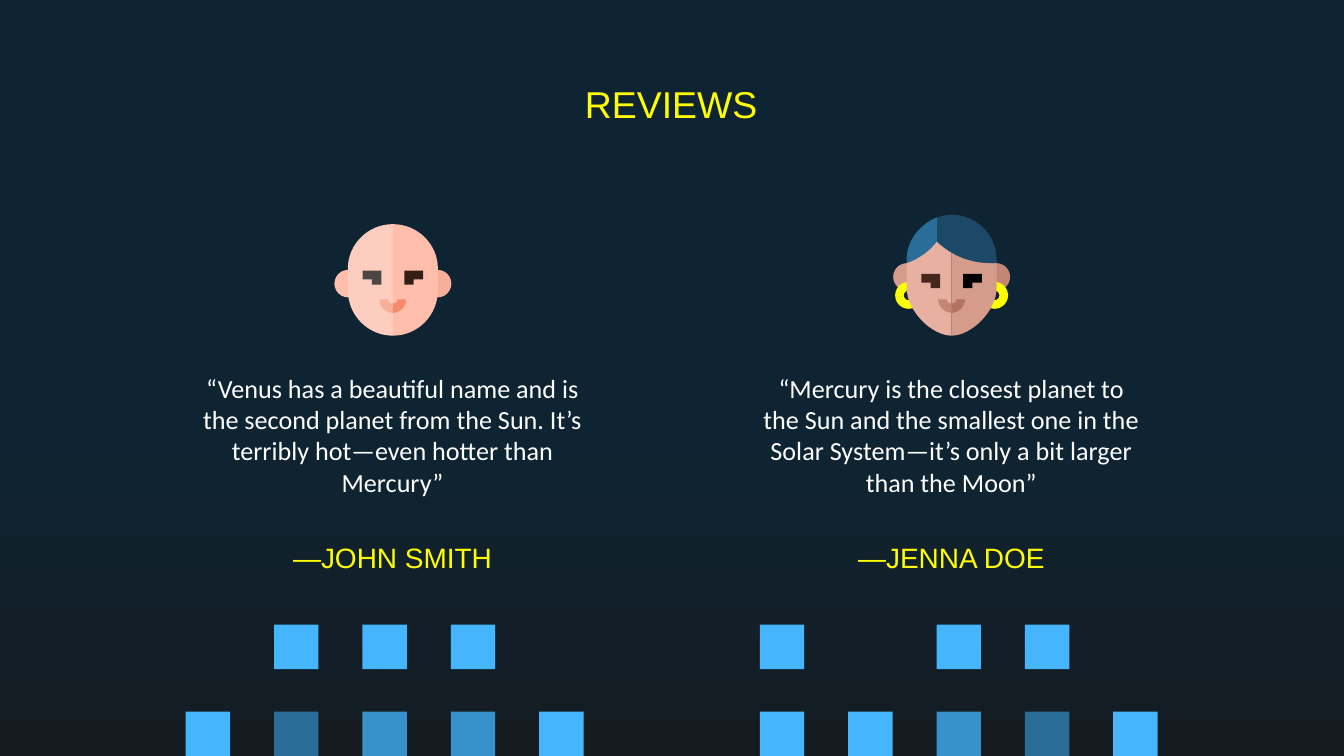
import pptx
import pptx.dml.color
import pptx.enum.shapes
import pptx.enum.text
import pptx.oxml.ns
import pptx.util
from lxml import etree

Cm = pptx.util.Cm
Shapes = pptx.enum.shapes.MSO_SHAPE
Anchor = pptx.enum.text.MSO_ANCHOR

YELLOW, WHITE = "FFFF00", "FFFFFF"
BRIGHT, MEDIUM, DARK = "45B6FE", "3792CB", "296D98"

# Faces are drawn on a grid 87 units wide, symmetric about its middle
GRID_WIDTH = 87
CURVE_STEPS = 16

# Left halves: a pair is a corner, six numbers are a Bezier curve
EYE = [(21, 0), (21, 6.5), (28, 6.5), (28, 10.5), (35, 10.5), (35, 0)]
MOUTH = [(33.5, 63), (33.5, 68, 38, 73, 43.5, 73), (43.5, 66),
         (41.5, 66, 40, 65, 40, 63)]
ROUND_HEAD = [(43.5, 7), (25, 7, 10, 22, 10, 40), (10, 56),
              (10, 75, 25, 90, 43.5, 90)]
POINTED_HEAD = [(43.5, 13), (32.5, 13), (10, 36), (10, 54),
                (10, 72, 29, 90, 43.5, 90)]
HAIR_BACK = [(43.5, 0), (40, 0, 36, 1, 32.5, 2), (28, 13), (32.5, 20),
             (43, 30, 57, 36, 72, 36), (77, 36), (77, 34),
             (77, 15, 62, 0, 43.5, 0)]
HAIR_FRONT = [(32.5, 2), (20, 7, 10, 19, 10, 34), (10, 36),
              (19, 33, 27, 27, 32.5, 20)]


def color(value):
    return pptx.dml.color.RGBColor.from_string(value)


def paint(shape, fill):
    shape.shadow.inherit = False
    shape.fill.solid()
    shape.fill.fore_color.rgb = color(fill)
    shape.line.fill.background()


def add_preset(slide, kind, left, top, width, height, fill):
    shape = slide.shapes.add_shape(kind, Cm(left), Cm(top), Cm(width), Cm(height))
    paint(shape, fill)
    return shape


def flatten(outline):
    """Turn corners and Bezier curves into a list of points."""
    points = []
    for part in outline:
        if len(part) == 2:
            points.append(part)
            continue
        start, first, second, end = points[-1], part[:2], part[2:4], part[4:]
        for step in range(1, CURVE_STEPS + 1):
            t = step / CURVE_STEPS
            points.append(tuple(
                (1 - t) ** 3 * a + 3 * (1 - t) ** 2 * t * b
                + 3 * (1 - t) * t ** 2 * c + t ** 3 * d
                for a, b, c, d in zip(start, first, second, end)))
    return points


def add_outline(slide, box, outline, fill, mirror=False, drop=0):
    left, top, width = box
    unit = width / GRID_WIDTH
    points = [(Cm(left + unit * (GRID_WIDTH - x if mirror else x)),
               Cm(top + unit * (y + drop))) for x, y in flatten(outline)]
    builder = slide.shapes.build_freeform(*points[0])
    builder.add_line_segments(points[1:], close=True)
    paint(builder.convert_to_shape(), fill)


def add_halves(slide, box, outline, fills, drop=0):
    for fill, mirror in zip(fills, (False, True)):
        add_outline(slide, box, outline, fill, mirror, drop)


def add_face(slide, box, look):
    left, top, width = box
    unit = width / GRID_WIDTH
    # Ears and earrings, behind the head
    size = 20.5
    for fill, x in zip(look["ears"], (0, GRID_WIDTH - size)):
        add_preset(slide, Shapes.OVAL, left + unit * x, top + unit * look["ear_top"],
                   unit * size, unit * size, fill)
    if look["earrings"]:
        for x in (1.5, 65.5):
            ring = add_preset(slide, Shapes.DONUT, left + unit * x, top + unit * 50,
                              unit * 20, unit * 20, look["earrings"])
            ring.adjustments[0] = 0.32
    # Head, eyes and mouth
    add_halves(slide, box, look["head"], look["skin"])
    add_halves(slide, box, EYE, look["eyes"], look["eye_top"])
    add_halves(slide, box, MOUTH, look["mouth"])
    # Hair
    for outline, fill in look["hair"]:
        add_outline(slide, box, outline, fill)


def fill_placeholder(shape, box, text, font_name, size, fill, anchor):
    shape.left, shape.top, shape.width, shape.height = map(Cm, box)
    frame = shape.text_frame
    frame.text = text
    frame.word_wrap = True
    frame.auto_size = pptx.enum.text.MSO_AUTO_SIZE.NONE
    frame.vertical_anchor = anchor
    frame.margin_left = frame.margin_right = Cm(0.25)
    frame.margin_top = frame.margin_bottom = Cm(0.25)
    paragraph = frame.paragraphs[0]
    paragraph.alignment = pptx.enum.text.PP_ALIGN.CENTER
    paragraph.space_before = pptx.util.Pt(0)
    properties = paragraph._p.get_or_add_pPr()
    properties.set("marL", "0")
    properties.set("indent", "0")
    etree.SubElement(properties, pptx.oxml.ns.qn("a:buNone"))
    font = paragraph.font
    font.name, font.size, font.bold = font_name, pptx.util.Pt(size), False
    font.color.rgb = color(fill)


def add_review(slide, box, name_shape, quote_shape, review):
    left, top, width = box
    add_face(slide, (left + 3.04, top, 2.21), review["look"])
    fill_placeholder(quote_shape, (left + 0.28, top + 2.72, width - 0.56, 3.02),
                     review["quote"], "Calibri", 14, WHITE, Anchor.TOP)
    fill_placeholder(name_shape, (left, top + 6, width, 0.94),
                     review["name"], "Arial", 15, YELLOW, Anchor.MIDDLE)


def add_squares(slide, left, top, rows):
    for row, fills in enumerate(rows):
        for column, fill in enumerate(fills):
            if fill:
                add_preset(slide, Shapes.RECTANGLE, left + 1.67 * column,
                           top + 1.64 * row, 0.84, 0.84, fill)


def add_background(slide):
    fill = slide.background.fill
    fill.gradient()
    fill.gradient_angle = 270
    for stop, position, value in zip(fill.gradient_stops, (0.56, 1),
                                     ("0E2433", "141C21")):
        stop.position = position
        stop.color.rgb = color(value)


REVIEWS = [
    {"name": "—JOHN SMITH",
     "quote": "“Venus has a beautiful name and is the second planet from the Sun. "
              "It’s terribly hot—even hotter than Mercury”",
     "look": {"ears": ("FFBEAB", "F7AF99"), "ear_top": 41, "earrings": None,
              "head": ROUND_HEAD, "skin": ("FDCDBF", "FFBEAB"),
              "eyes": ("4C4645", "331D17"), "eye_top": 41.5,
              "mouth": ("F7AF99", "F88A6B"), "hair": []}},
    {"name": "—JENNA DOE",
     "quote": "“Mercury is the closest planet to the Sun and the smallest one in "
              "the Solar System—it’s only a bit larger than the Moon”",
     "look": {"ears": ("D59C8B", "C48776"), "ear_top": 36, "earrings": YELLOW,
              "head": POINTED_HEAD, "skin": ("E7B0A0", "D59C8B"),
              "eyes": ("44261D", "000000"), "eye_top": 44,
              "mouth": ("C48776", "B27361"),
              "hair": [(HAIR_BACK, "1C4966"), (HAIR_FRONT, DARK)]}},
]


def main():
    presentation = pptx.Presentation()
    presentation.slide_width, presentation.slide_height = Cm(25.4), Cm(14.29)
    # The comparison layout has a title and two pairs of heading and body
    slide = presentation.slides.add_slide(presentation.slide_layouts[4])
    title, *bodies = slide.placeholders
    add_background(slide)

    # Decorative squares along the bottom
    add_squares(slide, 3.51, 11.81, [(None, BRIGHT, BRIGHT, BRIGHT, None),
                                     (BRIGHT, DARK, MEDIUM, MEDIUM, BRIGHT)])
    add_squares(slide, 14.36, 11.81, [(BRIGHT, None, BRIGHT, BRIGHT, None),
                                      (BRIGHT, BRIGHT, MEDIUM, DARK, BRIGHT)])

    # Title
    fill_placeholder(title, (1.98, 1.5, 21.41, 0.91), "REVIEWS",
                     "Arial", 20, YELLOW, Anchor.MIDDLE)

    # Reviews
    for index, review in enumerate(REVIEWS):
        name_shape, quote_shape = bodies[2 * index:2 * index + 2]
        add_review(slide, (3.28 + 10.56 * index, 4.06, 8.28),
                   name_shape, quote_shape, review)

    presentation.save("out.pptx")


if __name__ == "__main__":
    main()
